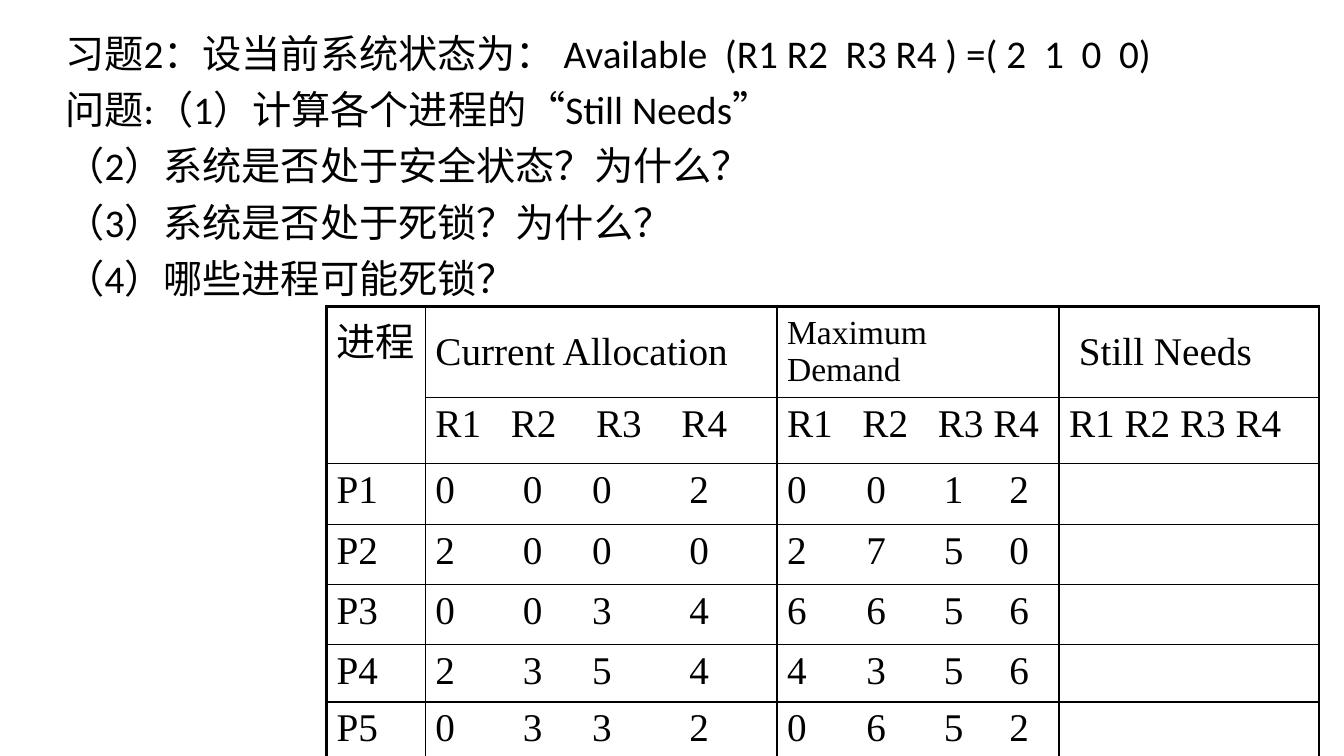
from dataclasses import dataclass

from lxml import etree
from pptx import Presentation
from pptx.dml.color import RGBColor
from pptx.enum.text import MSO_ANCHOR
from pptx.oxml.ns import qn
from pptx.util import Cm, Pt

TOP, MIDDLE = MSO_ANCHOR.TOP, MSO_ANCHOR.MIDDLE


@dataclass(frozen=True)
class Theme:
    ink: str = "000000"
    question_font: str = "Calibri"
    table_font: str = "Times New Roman"
    text_size: int = 28
    small_size: int = 24
    inner_line: float = 1
    outer_line: float = 2.25


THEME = Theme()

QUESTIONS = [
    "习题2：设当前系统状态为： Available  (R1 R2  R3 R4 ) =( 2  1  0  0)",
    "问题:（1）计算各个进程的“Still Needs”",
    "（2）系统是否处于安全状态？为什么？",
    "（3）系统是否处于死锁？为什么？",
    "（4）哪些进程可能死锁？",
]
QUESTION_FORMAT = {"line_spacing": 0.9, "space_before": Pt(10)}

HEADINGS = ["进程", "Current Allocation", "Maximum Demand", " Still Needs"]
RESOURCES = "R1 R2 R3 R4"
ALLOCATION = {"P1": "0002", "P2": "2000", "P3": "0034", "P4": "2354", "P5": "0332"}
DEMAND = {"P1": "0012", "P2": "2750", "P3": "6656", "P4": "4356", "P5": "0652"}

COLUMN_WIDTHS = [2.49, 8.86, 7.11, 6.55]
ROW_HEIGHTS = [2.13, 1.67, 1.53, 1.52, 1.52, 1.36, 1.52]
RESOURCE_STOPS = {1: [1.9, 4.05, 6.2], 2: [1.9, 3.8, 5.2]}
VALUE_STOPS = {1: [2.2, 3.95, 6.4], 2: [2, 3.95, 5.6]}


def write(paragraph, text, font, size):
    run = paragraph.add_run()
    run.text = text
    for name, value in {"name": font, "size": Pt(size)}.items():
        setattr(run.font, name, value)
    run.font.color.rgb = RGBColor.from_string(THEME.ink)


def set_tab_stops(paragraph, stops):
    tab_list = etree.SubElement(paragraph._p.get_or_add_pPr(), qn("a:tabLst"))
    for stop in stops:
        etree.SubElement(tab_list, qn("a:tab"), pos=str(Cm(stop)), algn="l")


def set_borders(cell, outer_sides):
    """Draw all four sides, with the heavy line on outer_sides."""
    properties = cell._tc.get_or_add_tcPr()
    for side in "LRTB":
        width = THEME.outer_line if side in outer_sides else THEME.inner_line
        line = etree.SubElement(properties, qn(f"a:ln{side}"), w=str(Pt(width)))
        fill = etree.SubElement(line, qn("a:solidFill"))
        etree.SubElement(fill, qn("a:srgbClr"), val=THEME.ink)


def add_questions(slide, left, top, width, height):
    frame = slide.shapes.add_textbox(left, top, width, height).text_frame
    frame.word_wrap = True
    for number, question in enumerate(QUESTIONS):
        paragraph = frame.add_paragraph() if number else frame.paragraphs[0]
        for name, value in QUESTION_FORMAT.items():
            setattr(paragraph, name, value)
        properties = paragraph._p.get_or_add_pPr()
        properties.set("marL", str(Cm(0.64)))
        properties.set("indent", str(-Cm(0.64)))
        write(paragraph, question, THEME.question_font, THEME.text_size)


def allocation_rows():
    spaced_resources = "\t".join(RESOURCES.split())
    yield HEADINGS
    yield ["", spaced_resources, spaced_resources, RESOURCES]
    for process, allocated in ALLOCATION.items():
        yield [process, "\t".join(allocated), "\t".join(DEMAND[process]), ""]


def add_allocation_table(slide, left, top, width, height):
    table = slide.shapes.add_table(
        len(ROW_HEIGHTS), len(COLUMN_WIDTHS), left, top, width, height).table
    table.first_row = table.horz_banding = False
    for column, share in zip(table.columns, COLUMN_WIDTHS):
        column.width = int(width * share / sum(COLUMN_WIDTHS))
    for row, share in zip(table.rows, ROW_HEIGHTS):
        row.height = int(height * share / sum(ROW_HEIGHTS))

    last_row, last_column = len(ROW_HEIGHTS) - 1, len(COLUMN_WIDTHS) - 1
    for r, texts in enumerate(allocation_rows()):
        for c, text in enumerate(texts):
            cell = table.cell(r, c)
            edges = {"L": c == 0, "R": c == last_column,
                     "T": r == 0, "B": r == last_row}
            set_borders(cell, [side for side, is_outer in edges.items() if is_outer])
            cell.fill.background()
            cell.vertical_anchor = MIDDLE if r == 0 and c > 0 else TOP
            if not text:
                continue
            paragraph = cell.text_frame.paragraphs[0]
            if "\t" in text:
                set_tab_stops(paragraph, (RESOURCE_STOPS if r == 1 else VALUE_STOPS)[c])
            size = THEME.small_size if text == "Maximum Demand" else THEME.text_size
            write(paragraph, text, THEME.table_font, size)
    table.cell(0, 0).merge(table.cell(1, 0))


def main():
    presentation = Presentation()
    presentation.slide_width, presentation.slide_height = Cm(33.87), Cm(19.05)
    slide = presentation.slides.add_slide(presentation.slide_layouts[6])
    add_questions(slide, Cm(1.4), Cm(0.74), Cm(31.47), Cm(4.45))
    add_allocation_table(slide, Cm(8.23), Cm(7.72), Cm(25.01), Cm(11.25))
    presentation.save("out.pptx")


if __name__ == "__main__":
    main()
